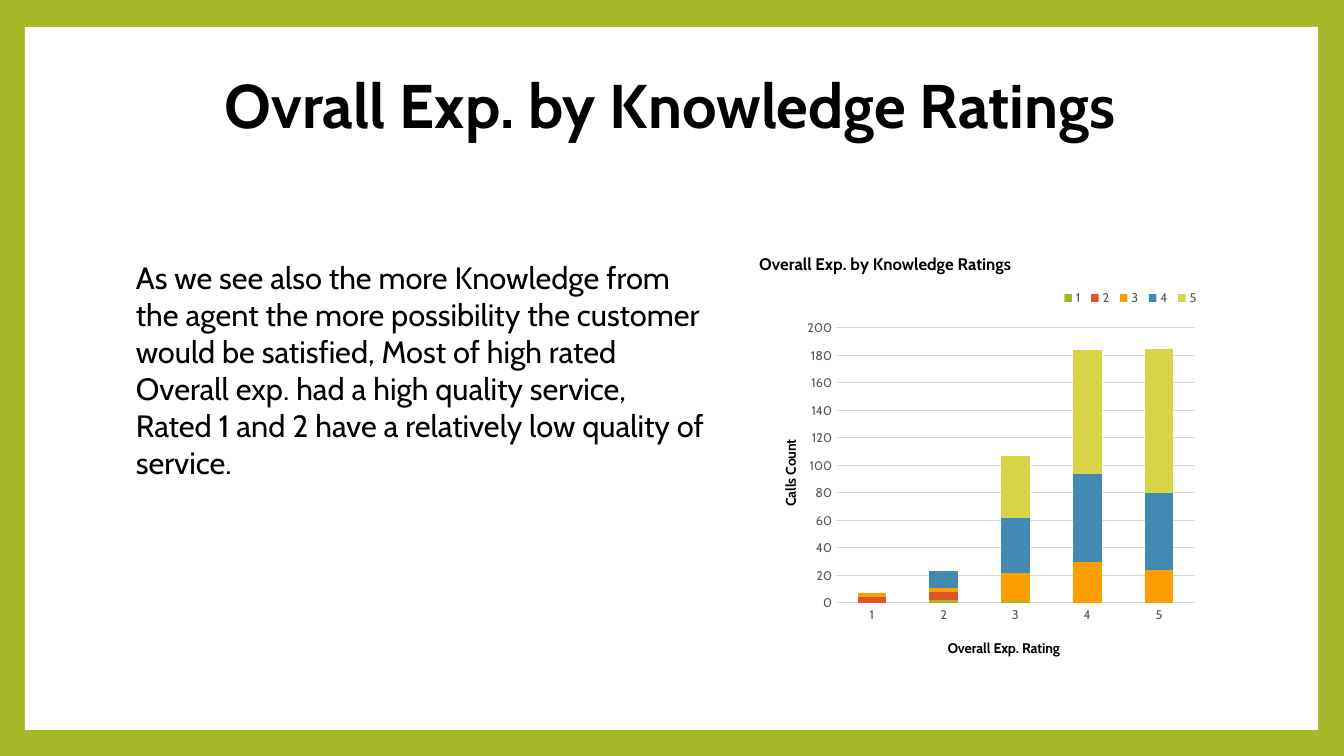
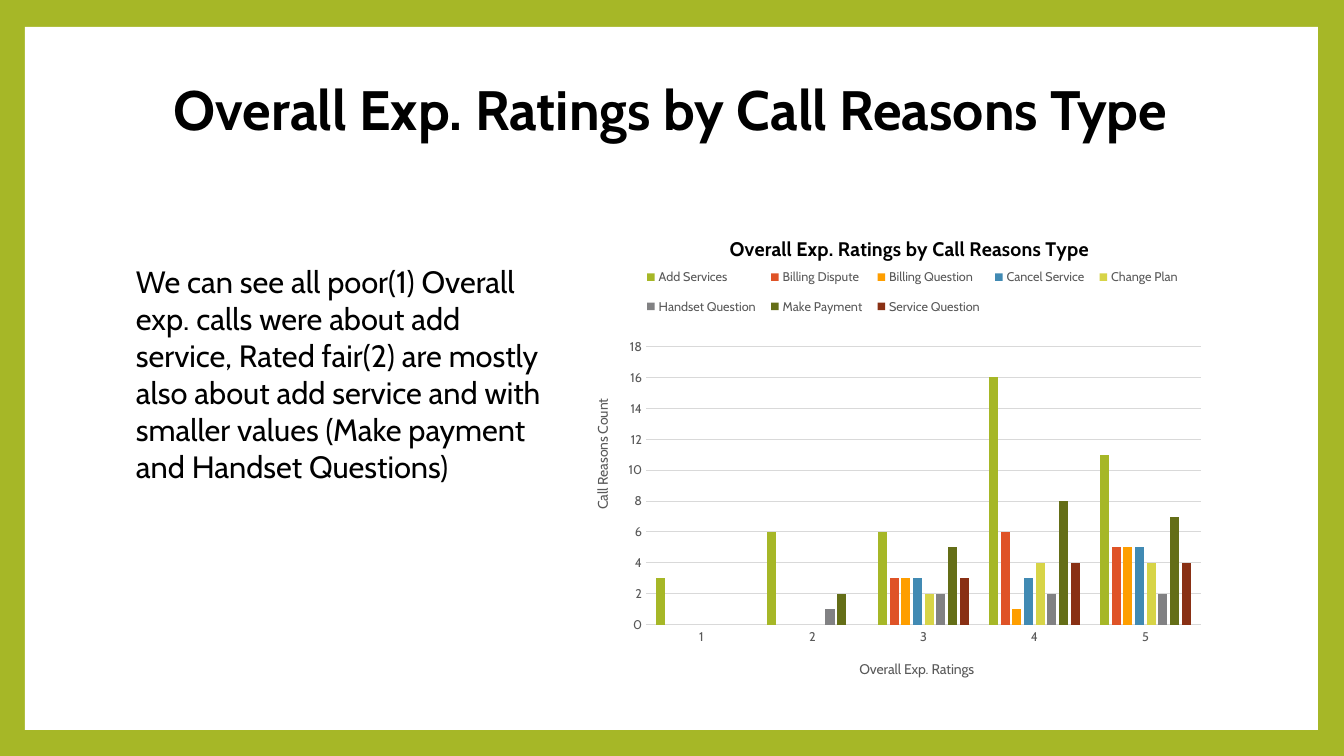
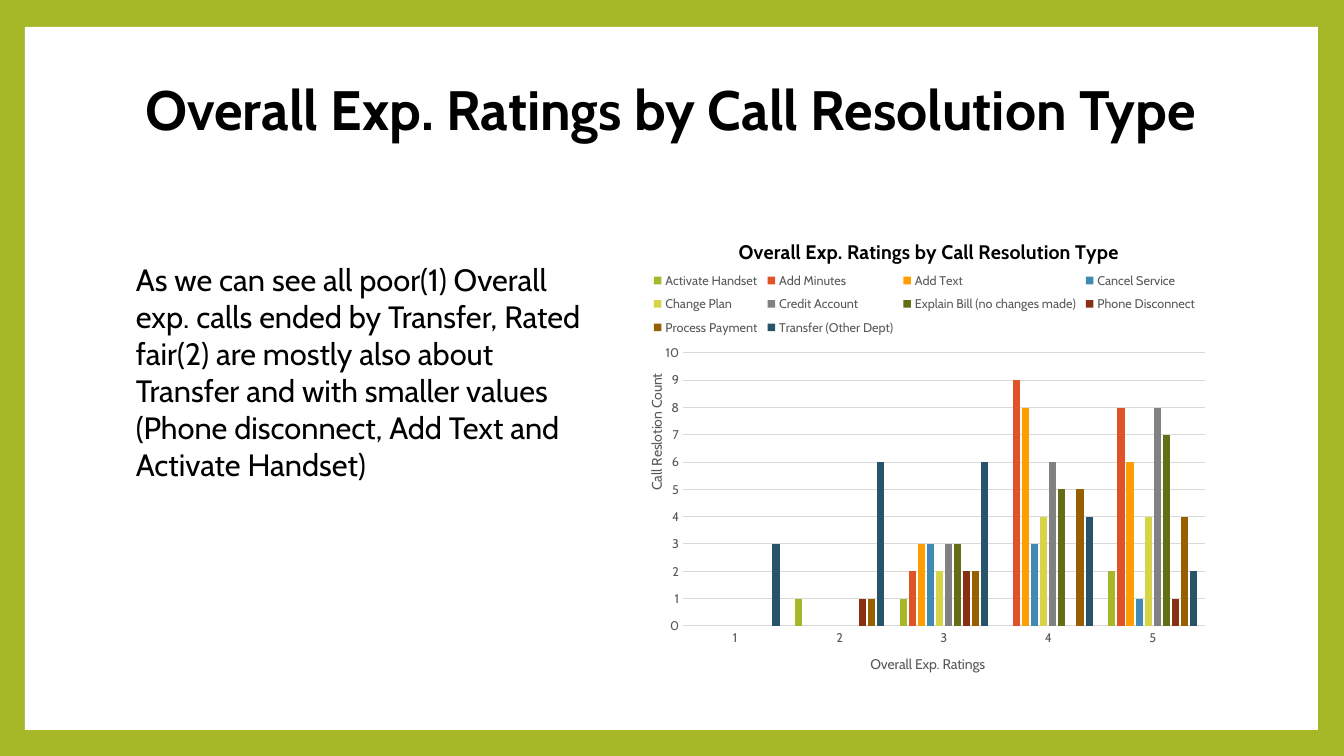
from dataclasses import dataclass
from typing import Any, Optional

from lxml.etree import SubElement
from pptx import Presentation
from pptx.chart.data import CategoryChartData
from pptx.dml.color import RGBColor
from pptx.enum.chart import XL_CHART_TYPE, XL_LEGEND_POSITION, XL_TICK_MARK
from pptx.enum.shapes import MSO_SHAPE
from pptx.enum.text import MSO_ANCHOR, PP_ALIGN
from pptx.oxml.ns import qn
from pptx.util import Emu, Inches, Pt

PIXEL = 914400 / 100.8
FONT = "Cabin"
GREEN, WHITE, BLACK, GRAY, GRID = "A6B727", "FFFFFF", "000000", "595959", "D9D9D9"
SERIES_COLOURS = [GREEN, "DF5327", "FE9E00", "418AB3", "D7D447",
                  "818183", "646E17", "893014", "985F00", "27536B"]
RATINGS = ["1", "2", "3", "4", "5"]


@dataclass(frozen=True)
class Box:
    """A rectangle in pixels."""
    left: int
    top: int
    width: int = 0
    height: int = 0

    def emu(self) -> tuple[Emu, Emu, Emu, Emu]:
        """Return the rectangle as EMU lengths."""
        return (px(self.left), px(self.top), px(self.width), px(self.height))


@dataclass(frozen=True)
class Label:
    """A chart or axis title and its top left corner."""
    text: str
    spot: Box
    size: int = 10
    colour: str = GRAY
    bold: bool = False


@dataclass(frozen=True)
class RatingChart:
    """A column chart over the five ratings."""
    frame: Box
    plot: Box
    legend: Box
    title: Label
    category: Label
    value: Label
    maximum: int
    step: int
    series: dict[str, list[Optional[int]]]
    stacked: bool = False


@dataclass(frozen=True)
class RatingSlide:
    """The content of one slide."""
    title: str
    title_size: float
    body: str
    body_box: Box
    chart: RatingChart


PANEL = Box(25, 27, 1293, 703)
TITLE_BOX = Box(126, 68, 1089, 149)

SLIDES = [
    RatingSlide(
        "Ovrall Exp. by Knowledge Ratings", 44,
        "As we see also the more Knowledge from the agent the more possibility "
        "the customer would be satisfied, Most of high rated Overall exp. had a "
        "high quality service, Rated 1 and 2 have a relatively low quality of service.",
        Box(126, 254, 591, 234),
        RatingChart(
            Box(744, 227, 471, 445), Box(836, 328, 359, 275), Box(1058, 288, 145, 20),
            Label("Overall Exp. by Knowledge Ratings", Box(756, 250), 12, BLACK, True),
            Label("Overall Exp. Rating", Box(945, 636), 10, BLACK, True),
            Label("Calls Count", Box(778, 437), 10, BLACK, True),
            200, 20,
            {
                "1": [None, 2, 1, None, None],
                "2": [4, 6, None, None, None],
                "3": [3, 3, 21, 30, 24],
                "4": [None, 12, 40, 64, 56],
                "5": [None, None, 45, 90, 105],
            },
            stacked=True)),
    RatingSlide(
        "Overall Exp. Ratings by Call Reasons Type", 39.6,
        "We can see all poor(1) Overall exp. calls were about add service, Rated "
        "fair(2) are mostly also about add service and with smaller values (Make "
        "payment and Handset Questions)",
        Box(126, 258, 430, 271),
        RatingChart(
            Box(575, 227, 639, 455), Box(646, 347, 555, 279), Box(636, 256, 553, 72),
            Label("Overall Exp. Ratings by Call Reasons Type", Box(726, 232), 14, BLACK, True),
            Label("Overall Exp. Ratings", Box(857, 658)),
            Label("Call Reasons Count", Box(590, 397)),
            18, 2,
            {
                "Add Services": [3, 6, 6, 16, 11],
                "Billing Dispute": [None, None, 3, 6, 5],
                "Billing Question": [None, None, 3, 1, 5],
                "Cancel Service": [None, None, 3, 3, 5],
                "Change Plan": [None, None, 2, 4, 4],
                "Handset Question": [None, 1, 2, 2, 2],
                "Make Payment": [None, 2, 5, 8, 7],
                "Service Question": [None, None, 3, 4, 4],
            })),
    RatingSlide(
        "Overall Exp. Ratings by Call Resolution Type", 39.6,
        "As we can see all poor(1) Overall exp. calls ended by Transfer, Rated "
        "fair(2) are mostly also about Transfer and with smaller values (Phone "
        "disconnect, Add Text and Activate Handset)",
        Box(126, 256, 480, 271),
        RatingChart(
            Box(630, 227, 584, 451), Box(683, 353, 522, 273), Box(648, 265, 553, 78),
            Label("Overall Exp. Ratings by Call Resolution Type", Box(735, 235), 14, BLACK, True),
            Label("Overall Exp. Ratings", Box(868, 652)),
            Label("Call Reslotion Count", Box(644, 371)),
            10, 1,
            {
                "Activate Handset": [None, 1, 1, None, 2],
                "Add Minutes": [None, None, 2, 9, 8],
                "Add Text": [None, None, 3, 8, 6],
                "Cancel Service": [None, None, 3, 3, 1],
                "Change Plan": [None, None, 2, 4, 4],
                "Credit Account": [None, None, 3, 6, 8],
                "Explain Bill (no changes made)": [None, None, 3, 5, 7],
                "Phone Disconnect": [None, 1, 2, None, 1],
                "Process Payment": [None, 1, 2, 5, 4],
                "Transfer (Other Dept)": [3, 6, 6, 4, 2],
            })),
]


def px(pixels: int) -> Emu:
    """Turn pixels into EMU."""
    return Emu(round(pixels * PIXEL))


def colour(value: str) -> RGBColor:
    """Turn a hex string into a colour."""
    return RGBColor.from_string(value)


def style(font: Any, size: float, value: str, bold: bool = False) -> None:
    """Set the face, size, colour and weight of a font."""
    font.name = FONT
    font.size = Pt(size)
    font.bold = bold
    font.color.rgb = colour(value)


def add_text(page: Any, box: Box, text: str, size: float, bold: bool = False) -> Any:
    """Add a wrapped text box and return its text frame."""
    frame = page.shapes.add_textbox(*box.emu()).text_frame
    frame.word_wrap = True
    frame.text = text
    style(frame.paragraphs[0].runs[0].font, size, BLACK, bold)
    return frame


def add_title(page: Any, text: str, size: float) -> None:
    """Add the centred slide title, raised by half a line."""
    frame = add_text(page, TITLE_BOX, text, size, True)
    frame.vertical_anchor = MSO_ANCHOR.MIDDLE
    frame.margin_bottom = Inches(0.05) + Pt(size * 1.09)
    frame.paragraphs[0].alignment = PP_ALIGN.CENTER
    frame.paragraphs[0].line_spacing = 0.9


def add_panel(page: Any) -> None:
    """Add the white panel inside the coloured border."""
    panel = page.shapes.add_shape(MSO_SHAPE.RECTANGLE, *PANEL.emu())
    panel.shadow.inherit = False
    panel.fill.solid()
    panel.fill.fore_color.rgb = colour(WHITE)
    panel.line.fill.background()


def place(part: Any, box: Box, frame: Box, inner: bool = False) -> None:
    """Give a chart part a fixed place within the chart frame."""
    for layout in part.findall(qn("c:layout")):
        part.remove(layout)
    layout = SubElement(part, qn("c:layout"))
    overlay = part.find(qn("c:overlay"))
    if inner:
        part.insert(0, layout)
    elif overlay is not None:
        overlay.addprevious(layout)
    manual = SubElement(layout, qn("c:manualLayout"))
    settings = {"layoutTarget": "inner"} if inner else {}
    settings |= {"xMode": "edge", "yMode": "edge",
                 "x": f"{(box.left - frame.left) / frame.width:.4f}",
                 "y": f"{(box.top - frame.top) / frame.height:.4f}"}
    if box.width:
        settings |= {"w": f"{box.width / frame.width:.4f}",
                     "h": f"{box.height / frame.height:.4f}"}
    for name, value in settings.items():
        SubElement(manual, qn(f"c:{name}")).set("val", value)


def set_label(title: Any, label: Label, frame: Box) -> None:
    """Write, style and place a chart or axis title."""
    title.text_frame.text = label.text
    span = title.text_frame.paragraphs[0].runs[0]
    style(span.font, label.size, label.colour, label.bold)
    place(title.element, label.spot, frame)


def style_axes(chart: Any, spec: RatingChart) -> None:
    """Style both axes with their titles, lines and grid."""
    for axis, label in ((chart.category_axis, spec.category), (chart.value_axis, spec.value)):
        axis.major_tick_mark = axis.minor_tick_mark = XL_TICK_MARK.NONE
        style(axis.tick_labels.font, 9, GRAY)
        set_label(axis.axis_title, label, spec.frame)
    value_axis = chart.value_axis
    value_axis.axis_title.element.find(f".//{qn('a:bodyPr')}").set("rot", "-5400000")
    value_axis.minimum_scale = 0
    value_axis.maximum_scale = spec.maximum
    value_axis.major_unit = spec.step
    value_axis.format.line.fill.background()
    for line in (chart.category_axis.format.line, value_axis.major_gridlines.format.line):
        line.color.rgb = colour(GRID)
        line.width = Pt(0.75)


def add_rating_chart(page: Any, spec: RatingChart) -> None:
    """Add a column chart of counts per rating."""
    data = CategoryChartData()
    data.categories = RATINGS
    for name, values in spec.series.items():
        data.add_series(name, values)
    kind = XL_CHART_TYPE.COLUMN_STACKED if spec.stacked else XL_CHART_TYPE.COLUMN_CLUSTERED
    chart = page.shapes.add_chart(kind, *spec.frame.emu(), data).chart
    style(chart.font, 10, BLACK)
    set_label(chart.chart_title, spec.title, spec.frame)
    plot = chart.plots[0]
    plot.vary_by_categories = False
    plot.gap_width, plot.overlap = (150, 100) if spec.stacked else (219, -27)
    for series, value in zip(plot.series, SERIES_COLOURS):
        series.format.fill.solid()
        series.format.fill.fore_color.rgb = colour(value)
    style_axes(chart, spec)
    chart.has_legend = True
    chart.legend.position = XL_LEGEND_POSITION.TOP
    chart.legend.include_in_layout = False
    style(chart.legend.font, 9, GRAY)
    place(chart.element.find(f".//{qn('c:legend')}"), spec.legend, spec.frame)
    place(chart.element.find(f".//{qn('c:plotArea')}"), spec.plot, spec.frame, True)


def main() -> None:
    """Build and save the deck."""
    deck = Presentation()
    deck.slide_width, deck.slide_height = px(1344), px(756)
    background = deck.slide_master.background.fill
    background.solid()
    background.fore_color.rgb = colour(GREEN)
    for content in SLIDES:
        page = deck.slides.add_slide(deck.slide_layouts[6])
        add_panel(page)
        add_title(page, content.title, content.title_size)
        add_rating_chart(page, content.chart)
        add_text(page, content.body_box, content.body, 22)
    deck.save("out.pptx")


main()
